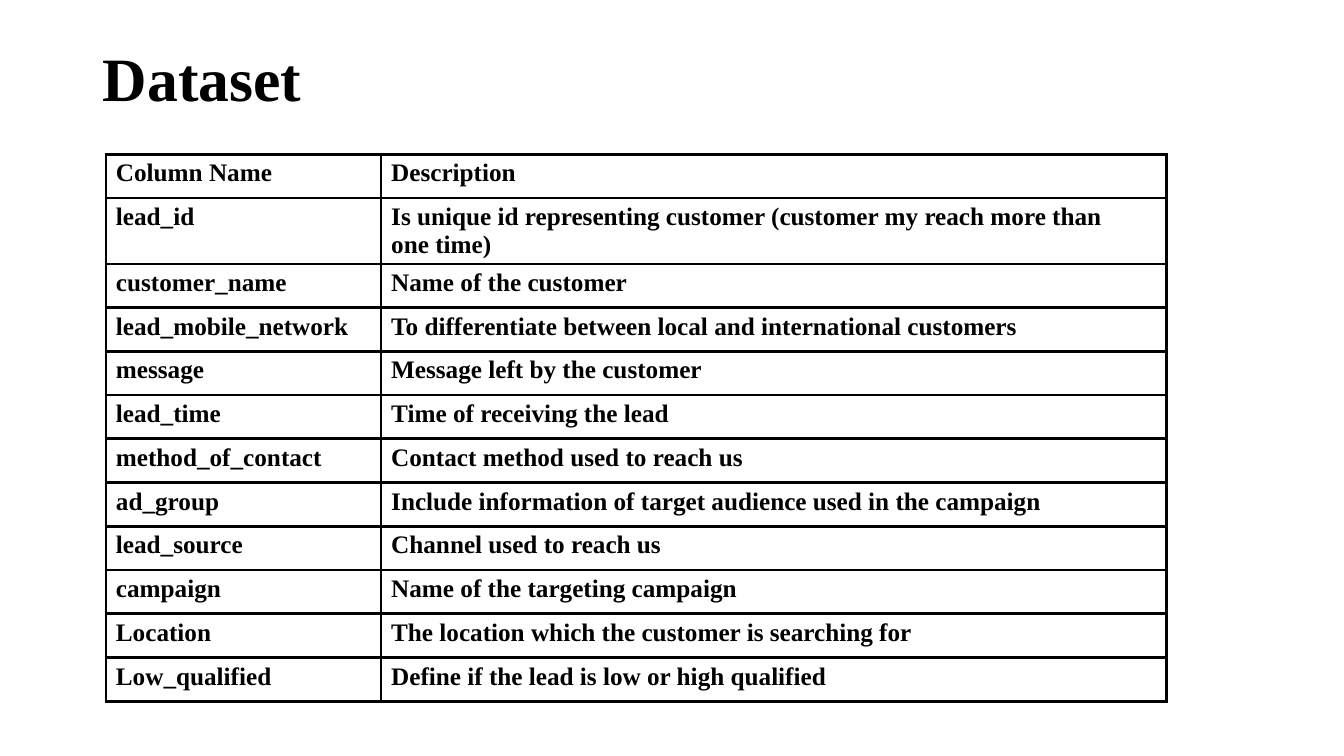
import pptx
import pptx.util
import pptx.dml.color
import pptx.enum.text
import pptx.oxml
import pptx.oxml.ns

Inches, Pt = pptx.util.Inches, pptx.util.Pt
BLACK = pptx.dml.color.RGBColor(0, 0, 0)
FONT = "Times New Roman"
ROWS = [
    ("Column Name", "Description"),
    ("lead_id", "Is unique id representing customer (customer my reach more than\none time)"),
    ("customer_name", "Name of the customer"),
    ("lead_mobile_network", "To differentiate between local and international customers"),
    ("message", "Message left by the customer"),
    ("lead_time", "Time of receiving the lead"),
    ("method_of_contact", "Contact method used to reach us"),
    ("ad_group", "Include information of target audience used in the campaign"),
    ("lead_source", "Channel used to reach us"),
    ("campaign", "Name of the targeting campaign"),
    ("Location", "The location which the customer is searching for"),
    ("Low_qualified", "Define if the lead is low or high qualified"),
]


def style(p, size):
    p.font.name = FONT
    p.font.size = Pt(size)
    p.font.bold = True
    p.font.color.rgb = BLACK


def add_borders(cell):
    # Borders must come before the fill in the cell properties
    tcPr = cell._tc.get_or_add_tcPr()
    for i, side in enumerate(("lnL", "lnR", "lnT", "lnB")):
        tcPr.insert(i, pptx.oxml.parse_xml(
            f'<a:{side} {pptx.oxml.ns.nsdecls("a")} w="{Pt(2.25)}">'
            f'<a:solidFill><a:srgbClr val="{BLACK}"/></a:solidFill></a:{side}>'))


prs = pptx.Presentation()
prs.slide_width, prs.slide_height = Inches(13.33), Inches(7.5)
s = prs.slides.add_slide(prs.slide_layouts[5])

# Title
title = s.shapes.title
title.left, title.top = Inches(0.92), Inches(0.08)
title.width, title.height = Inches(11.5), Inches(1.45)
tf = title.text_frame
tf.text = "Dataset"
tf.vertical_anchor = pptx.enum.text.MSO_ANCHOR.MIDDLE
p = tf.paragraphs[0]
p.alignment = pptx.enum.text.PP_ALIGN.LEFT
p.line_spacing = 0.9
style(p, 44)

# Column description table
table = s.shapes.add_table(len(ROWS), 2, Inches(1.05), Inches(1.53),
                           Inches(10.52), Inches(5.21)).table
table.first_row = table.horz_banding = False
table.columns[0].width = Inches(2.73)
table.columns[1].width = Inches(7.79)
for r, row in enumerate(ROWS):
    for c, text in enumerate(row):
        cell = table.cell(r, c)
        cell.text = text
        cell.fill.background()
        add_borders(cell)
        for p in cell.text_frame.paragraphs:
            style(p, 18)

prs.save("out.pptx")
